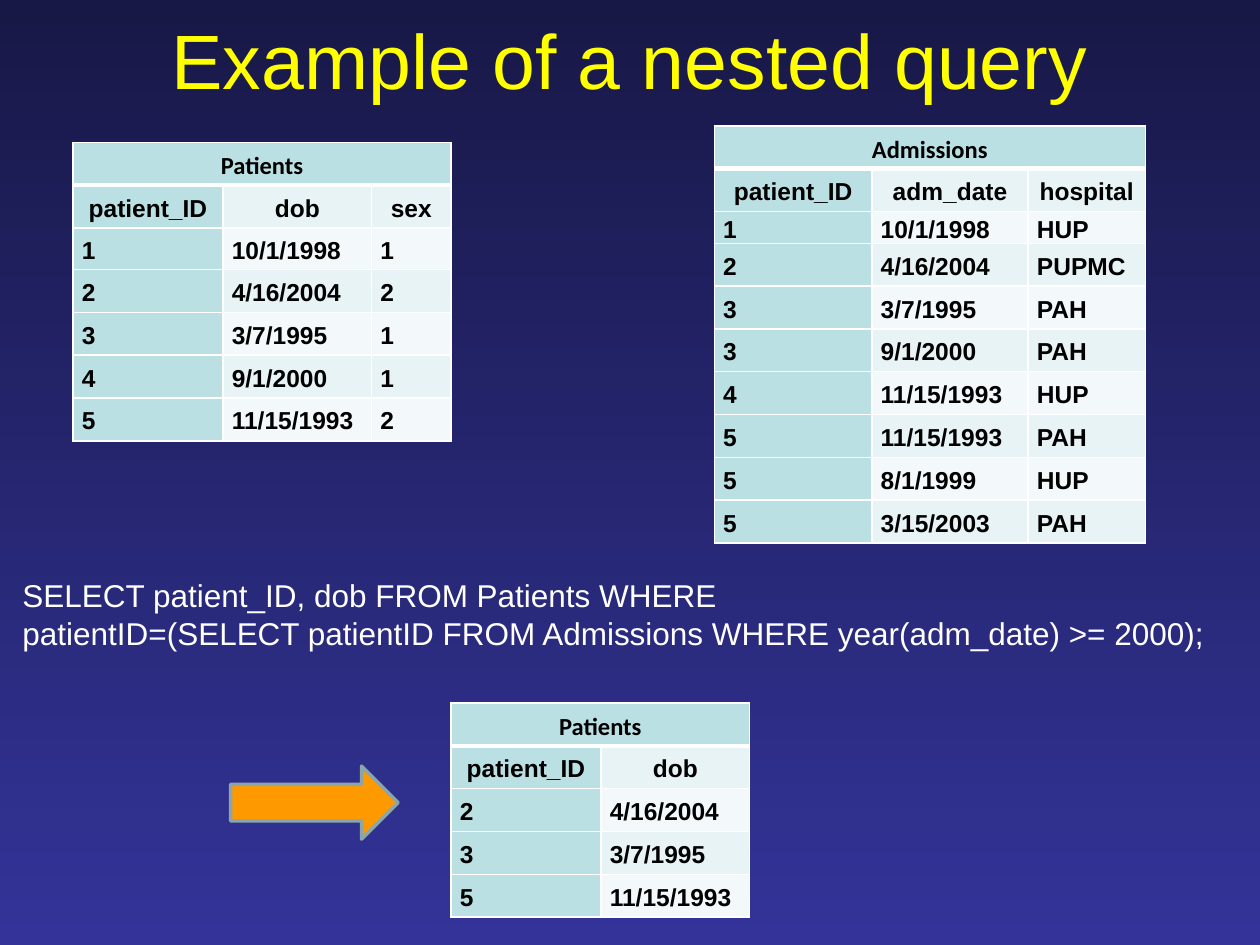
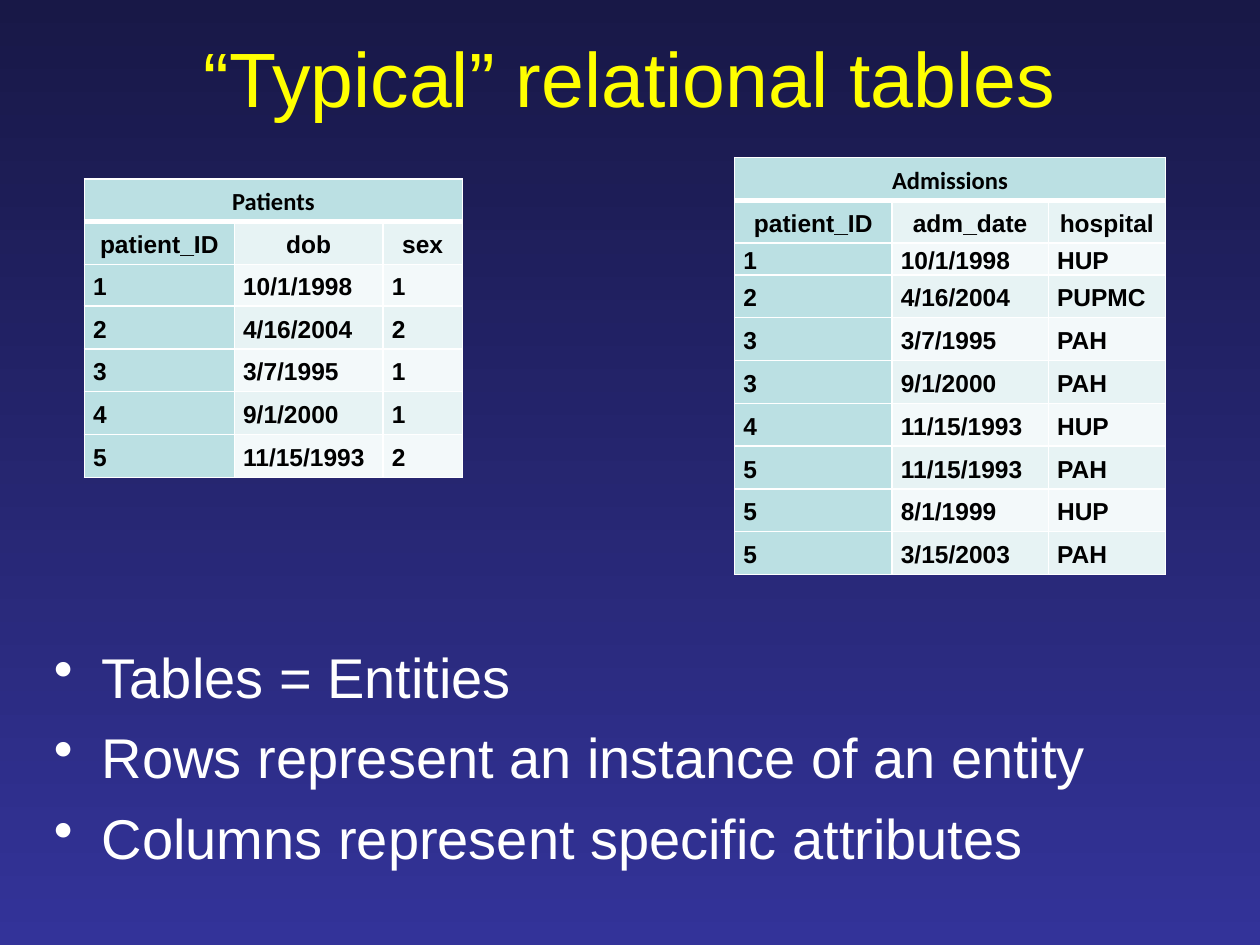
from dataclasses import dataclass

from lxml.etree import SubElement
from pptx import Presentation
from pptx.dml.color import RGBColor
from pptx.enum.shapes import MSO_SHAPE
from pptx.enum.text import MSO_ANCHOR, MSO_AUTO_SIZE, PP_ALIGN
from pptx.oxml.ns import qn
from pptx.util import Inches, Pt


@dataclass(frozen=True)
class Theme:
    font: str = "Arial"
    caption_font: str = "Calibri"
    sky_top: str = "181847"
    sky_bottom: str = "333399"
    title: str = "FFFF00"
    body: str = "FFFFFF"
    cell_text: str = "000000"
    key_fill: str = "BBE0E3"
    bands: tuple = ("E7F3F4", "F3F9FA")
    border: str = "FFFFFF"
    arrow: str = "FF9900"
    arrow_line: str = "8AA6A8"
    title_size: int = 44
    bullet_size: int = 32
    query_size: int = 18
    cell_size: int = 14


THEME = Theme()

PATIENTS = {
    "caption": "Patients",
    "columns": (1.19, 1.18, 0.63),
    "heights": {2: 0.33},
    "rows": [
        ("patient_ID", "dob", "sex"),
        ("1", "10/1/1998", "1"),
        ("2", "4/16/2004", "2"),
        ("3", "3/7/1995", "1"),
        ("4", "9/1/2000", "1"),
        ("5", "11/15/1993", "2"),
    ],
}
ADMISSIONS = {
    "caption": "Admissions",
    "columns": (1.25, 1.24, 0.93),
    "heights": {2: 0.15},
    "rows": [
        ("patient_ID", "adm_date", "hospital"),
        ("1", "10/1/1998", "HUP"),
        ("2", "4/16/2004", "PUPMC"),
        ("3", "3/7/1995", "PAH"),
        ("3", "9/1/2000", "PAH"),
        ("4", "11/15/1993", "HUP"),
        ("5", "11/15/1993", "PAH"),
        ("5", "8/1/1999", "HUP"),
        ("5", "3/15/2003", "PAH"),
    ],
}
QUERY_RESULT = {
    "caption": "Patients",
    "columns": (1.19, 1.18),
    "heights": {},
    "rows": [
        ("patient_ID", "dob"),
        ("2", "4/16/2004"),
        ("3", "3/7/1995"),
        ("5", "11/15/1993"),
    ],
}
SLIDES = [
    {
        "title": "Example of a nested query",
        "title_box": (0.5, 0.08, 9, 0.78),
        "tables": [
            (PATIENTS, 0.58, 1.13),
            (ADMISSIONS, 5.67, 1),
            (QUERY_RESULT, 3.58, 5.58),
        ],
        "query": [
            "SELECT patient_ID, dob FROM Patients WHERE ",
            "patientID=(SELECT patientID FROM Admissions WHERE year(adm_date) >= 2000);",
        ],
        "query_box": (0.08, 4.52, 9.92, 1.31),
        "arrow_box": (1.83, 6.08, 1.33, 0.58),
    },
    {
        "title": "\u201cTypical\u201d relational tables",
        "title_box": (0.5, 0.17, 9, 0.88),
        "tables": [(PATIENTS, 0.67, 1.42), (ADMISSIONS, 5.83, 1.25)],
        "bullets": [
            "Tables = Entities",
            "Rows represent an instance of an entity",
            "Columns represent specific attributes",
        ],
        "bullets_box": (0.33, 5.05, 9.17, 1.37),
    },
]

ROW_HEIGHT = 0.34
CELL_MARGIN = 0.07
BULLET_INDENT = 0.38


def inches(box):
    return [Inches(length) for length in box]


def rgb(color):
    return RGBColor.from_string(color)


def write(frame, lines, *, size, color, font=THEME.font, bold=False,
          align=PP_ALIGN.LEFT, spacing=None, before=0, after=0, bullet=None):
    frame.word_wrap = True
    for index, line in enumerate(lines):
        paragraph = frame.add_paragraph() if index else frame.paragraphs[0]
        paragraph.alignment = align
        paragraph.line_spacing = spacing
        paragraph.space_before = Pt(before)
        paragraph.space_after = Pt(after)
        if bullet:
            properties = paragraph._p.get_or_add_pPr()
            properties.set("marL", str(Inches(BULLET_INDENT)))
            properties.set("indent", str(-Inches(BULLET_INDENT)))
            SubElement(properties, qn("a:buChar")).set("char", bullet)
        run = paragraph.add_run()
        run.text = line
        run.font.name = font
        run.font.size = Pt(size)
        run.font.bold = bold
        run.font.color.rgb = rgb(color)


def draw_borders(cell, widths):
    properties = cell._tc.get_or_add_tcPr()
    for side, width in widths.items():
        line = SubElement(properties, qn(f"a:ln{side}"))
        line.set("w", str(Pt(width)))
        fill = SubElement(line, qn("a:solidFill"))
        SubElement(fill, qn("a:srgbClr")).set("val", THEME.border)


def add_data_table(slide, data, left, top):
    columns = data["columns"]
    caption_row = (data["caption"],) + ("",) * (len(columns) - 1)
    rows = [caption_row] + data["rows"]
    heights = [data["heights"].get(index, ROW_HEIGHT) for index in range(len(rows))]
    box = inches((left, top, sum(columns), sum(heights)))
    table = slide.shapes.add_table(len(rows), len(columns), *box).table
    table.first_row = table.horz_banding = False
    for column, width in zip(table.columns, columns):
        column.width = Inches(width)
    for row, height in zip(table.rows, heights):
        row.height = Inches(height)
    table.cell(0, 0).merge(table.cell(0, len(columns) - 1))

    for row_index, row in enumerate(rows):
        for column_index, value in enumerate(row):
            cell = table.cell(row_index, column_index)
            cell.vertical_anchor = MSO_ANCHOR.MIDDLE
            cell.margin_left = cell.margin_right = Inches(CELL_MARGIN)
            cell.margin_top = cell.margin_bottom = 0
            draw_borders(cell, {"L": 1, "R": 1,
                                "T": 3 if row_index == 1 else 1,
                                "B": 3 if row_index == 0 else 1})
            is_key = row_index == 0 or column_index == 0
            cell.fill.solid()
            cell.fill.fore_color.rgb = rgb(
                THEME.key_fill if is_key else THEME.bands[(row_index - 1) % 2])
            if value:
                write(cell.text_frame, [value], size=THEME.cell_size,
                      color=THEME.cell_text, bold=True, spacing=1.15, after=10,
                      font=THEME.font if row_index else THEME.caption_font,
                      align=PP_ALIGN.CENTER if row_index < 2 else PP_ALIGN.LEFT)


def add_title(slide, text, box):
    title = slide.shapes.title
    title.left, title.top, title.width, title.height = inches(box)
    title.text_frame.auto_size = MSO_AUTO_SIZE.NONE
    title.text_frame.vertical_anchor = MSO_ANCHOR.MIDDLE
    write(title.text_frame, [text], size=THEME.title_size, color=THEME.title,
          align=PP_ALIGN.CENTER)


def add_arrow(slide, box):
    arrow = slide.shapes.add_shape(MSO_SHAPE.RIGHT_ARROW, *inches(box))
    arrow.shadow.inherit = False
    arrow.fill.solid()
    arrow.fill.fore_color.rgb = rgb(THEME.arrow)
    arrow.line.color.rgb = rgb(THEME.arrow_line)
    arrow.line.width = Pt(2)


def paint_background(master):
    fill = master.background.fill
    fill.gradient()
    fill.gradient_angle = 270
    for stop, color in zip(fill.gradient_stops, (THEME.sky_top, THEME.sky_bottom)):
        stop.color.rgb = rgb(color)


deck = Presentation()
deck.slide_width, deck.slide_height = Inches(10), Inches(7.5)
paint_background(deck.slide_master)
title_only = deck.slide_layouts.get_by_name("Title Only")

for content in SLIDES:
    slide = deck.slides.add_slide(title_only)
    add_title(slide, content["title"], content["title_box"])
    for data, left, top in content["tables"]:
        add_data_table(slide, data, left, top)
    if "query" in content:
        query = slide.shapes.add_textbox(*inches(content["query_box"]))
        write(query.text_frame, content["query"], size=THEME.query_size,
              color=THEME.body)
        add_arrow(slide, content["arrow_box"])
    if "bullets" in content:
        bullets = slide.shapes.add_textbox(*inches(content["bullets_box"]))
        write(bullets.text_frame, content["bullets"], size=THEME.bullet_size,
              color=THEME.body, before=7.5, bullet="\u2022")

deck.save("out.pptx")
